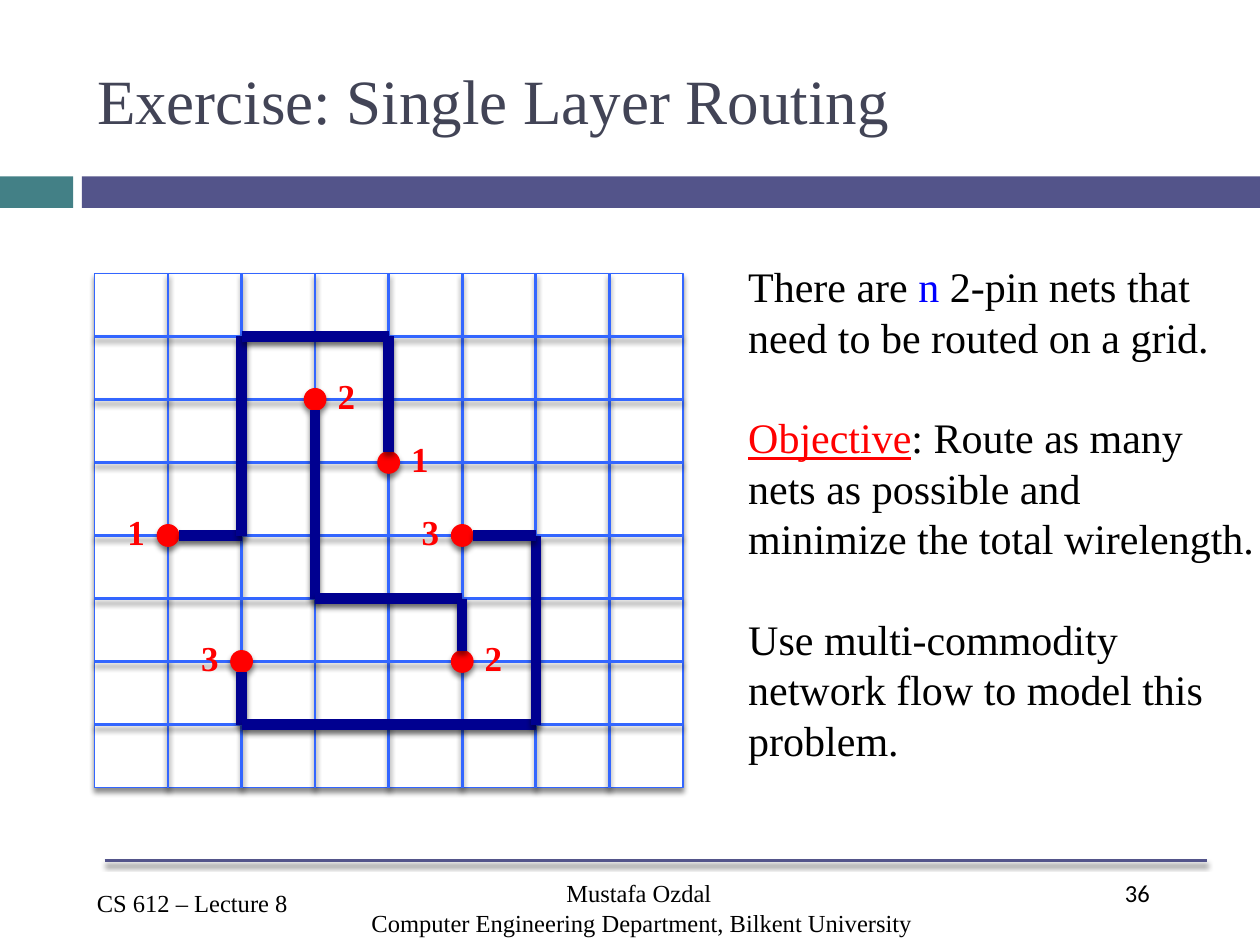
from lxml.etree import SubElement
from pptx import Presentation
from pptx.dml.color import RGBColor
from pptx.enum.shapes import MSO_CONNECTOR as Connector, MSO_SHAPE as Shape
from pptx.enum.text import MSO_ANCHOR as Anchor, PP_ALIGN as Align
from pptx.oxml.ns import qn
from pptx.util import Inches, Pt

SERIF = "Times New Roman"
BLACK, RED, BLUE = "000000", "FF0000", "0000FF"
GRID_BLUE, WIRE, INDIGO, TEAL = "3366FF", "000090", "53548A", "438086"

TITLE = "Exercise: Single Layer Routing"
STATEMENT = [
    [[("There are ", BLACK), ("n", BLUE), (" 2-pin nets that", BLACK)],
     [("need to be routed on a grid.", BLACK)]],
    [[("Objective", RED), (": Route as many", BLACK)],
     [("nets as possible and", BLACK)],
     [("minimize the total wirelength.", BLACK)]],
    [[("Use multi-commodity", BLACK)],
     [("network flow to model this", BLACK)],
     [("problem.", BLACK)]],
]
FOOTERS = [
    (["36"], (8.83, 6.92, 0.75, 0.5), "Calibri", Align.LEFT),
    (["CS 612 – Lecture 8"], (0.67, 7, 1.83, 0.34), SERIF, Align.LEFT),
    (["Mustafa Ozdal ", "Computer Engineering Department, Bilkent University"],
     (1.67, 6.92, 6.85, 0.58), SERIF, Align.CENTER),
]
BARS = [((0, 1.4, 0.58, 0.25), TEAL), ((0.65, 1.4, 9.35, 0.25), INDIGO)]
ROUTES = {
    "1": [(1, 4), (2, 4), (2, 1), (4, 1), (4, 3)],
    "2": [(3, 2), (3, 5), (5, 5), (5, 6)],
    "3": [(2, 6), (2, 7), (6, 7), (6, 4), (5, 4)],
}
LABELS_ON_LEFT = [(1, 4), (2, 6), (5, 4)]

COLUMNS = ROWS = 8
LEFT, TOP, WIDTH = 0.75, 2.17, 4.67
PIN_RADIUS = 0.085
xs = [LEFT + WIDTH * column / COLUMNS for column in range(COLUMNS + 1)]
ys = [TOP + 0.5 * row + (0.08 if row >= 4 else 0) for row in range(ROWS + 1)]

presentation = Presentation()
presentation.slide_width, presentation.slide_height = Inches(10), Inches(7.5)
slide = presentation.slides.add_slide(presentation.slide_layouts[5])
shapes = slide.shapes


def rgb(color):
    return RGBColor.from_string(color)


def inches(values):
    return [Inches(value) for value in values]


def add_shadow(shape):
    properties = shape._element.spPr
    for old in properties.findall(qn("a:effectLst")):
        properties.remove(old)
    effects = SubElement(properties, qn("a:effectLst"))
    shadow = SubElement(effects, qn("a:outerShdw"), blurRad=str(Pt(3)),
                        dist=str(Pt(2.4)), dir="5400000", rotWithShape="0")
    color = SubElement(shadow, qn("a:srgbClr"), val=BLACK)
    SubElement(color, qn("a:alpha"), val="45000")


def add_figure(kind, box, fill, line=None):
    shape = shapes.add_shape(kind, *inches(box))
    shape.shadow.inherit = False
    shape.fill.solid()
    shape.fill.fore_color.rgb = rgb(fill)
    if line:
        shape.line.color.rgb = rgb(line)
        shape.line.width = Pt(0.79)
        add_shadow(shape)
    else:
        shape.line.fill.background()


def add_line(start, end, color, width=1.5):
    line = shapes.add_connector(Connector.STRAIGHT, *inches((*start, *end)))
    line.line.color.rgb = rgb(color)
    line.line.width = Pt(width)
    add_shadow(line)


def add_text(lines, box, size, font=SERIF, color=BLACK, align=Align.LEFT,
             bold=False, wrap=True):
    frame = shapes.add_textbox(*inches(box)).text_frame
    frame.word_wrap = wrap
    frame.text = "\n".join(lines)
    for paragraph in frame.paragraphs:
        paragraph.alignment = align
        paragraph.font.name, paragraph.font.size = font, Pt(size)
        paragraph.font.bold = bold
        paragraph.font.color.rgb = rgb(color)


def trim(pin, neighbour):
    x, y = xs[pin[0]], ys[pin[1]]
    across = (neighbour[0] > pin[0]) - (neighbour[0] < pin[0])
    down = (neighbour[1] > pin[1]) - (neighbour[1] < pin[1])
    return x + across * PIN_RADIUS, y + down * PIN_RADIUS


def add_statement(box):
    frame = shapes.add_textbox(*inches(box)).text_frame
    frame.word_wrap = False
    paragraph = frame.paragraphs[0]
    for group_index, group in enumerate(STATEMENT):
        for line_index, line in enumerate(group):
            if group_index or line_index:
                paragraph = frame.add_paragraph()
            paragraph.font.name, paragraph.font.size = SERIF, Pt(24)
            paragraph.line_spacing = Pt(28.8)
            if group_index and not line_index:
                paragraph.space_before = Pt(28.8)
            for text, color in line:
                run = paragraph.add_run()
                run.text = text
                run.font.color.rgb = rgb(color)
                if color == RED:
                    run.font.underline = True


for box, color in BARS:
    add_figure(Shape.RECTANGLE, box, color)
add_line((0.83, 6.83), (9.58, 6.83), INDIGO)
for lines, box, font, align in FOOTERS:
    add_text(lines, box, 14, font, align=align)

title = shapes.title
title.left, title.top, title.width, title.height = inches((0.67, 0.25, 8.92, 1.08))
title.text_frame.text = TITLE
title.text_frame.vertical_anchor = Anchor.MIDDLE
heading = title.text_frame.paragraphs[0]
heading.alignment = Align.LEFT
heading.font.name, heading.font.size = SERIF, Pt(36)
heading.font.color.rgb = rgb("424456")

add_figure(Shape.RECTANGLE, (LEFT, TOP, WIDTH, ys[-1] - TOP), "FFFFFF", GRID_BLUE)
for x in xs[1:-1]:
    add_line((x, ys[0]), (x, ys[-1]), GRID_BLUE)
for y in ys[1:-1]:
    add_line((xs[0], y), (xs[-1], y), GRID_BLUE)

pins = [(net, pin) for net, route in ROUTES.items() for pin in (route[0], route[-1])]
for net, (column, row) in pins:
    add_figure(Shape.OVAL, (xs[column] - PIN_RADIUS, ys[row] - PIN_RADIUS,
                            2 * PIN_RADIUS, 2 * PIN_RADIUS), RED, RED)
for route in ROUTES.values():
    points = [trim(route[0], route[1])]
    points += [(xs[column], ys[row]) for column, row in route[1:-1]]
    points.append(trim(route[-1], route[-2]))
    for start, end in zip(points, points[1:]):
        add_line(start, end, WIRE, 6)
for net, pin in pins:
    offset = -0.42 if pin in LABELS_ON_LEFT else 0.08
    add_text([net], (xs[pin[0]] + offset, ys[pin[1]] - 0.25, 0.34, 0.44), 20,
             color=RED, bold=True, wrap=False)

add_statement((5.84, 2.02, 4.26, 4.14))
presentation.save("out.pptx")
